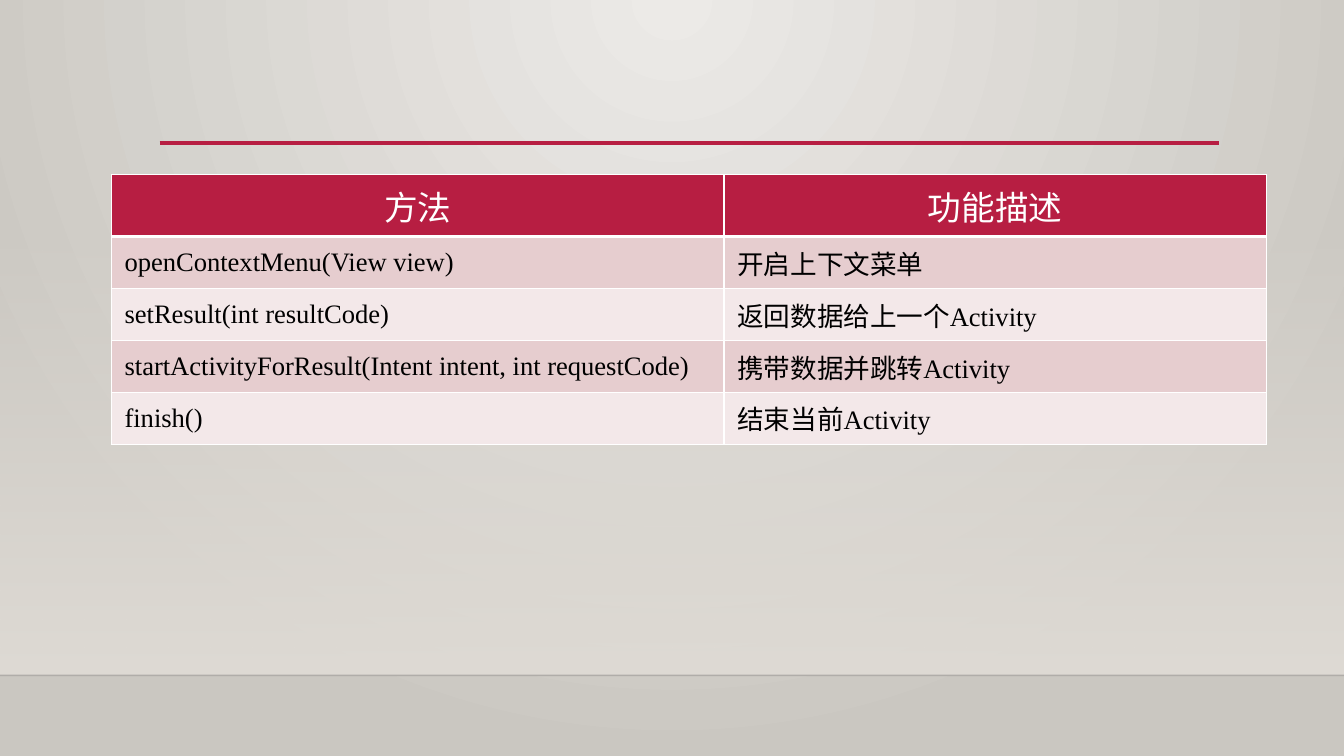
from lxml import etree
from pptx import Presentation
from pptx.dml.color import RGBColor
from pptx.enum.shapes import MSO_CONNECTOR, MSO_SHAPE
from pptx.enum.text import MSO_ANCHOR, PP_ALIGN
from pptx.oxml.ns import qn
from pptx.util import Pt

STRAIGHT = MSO_CONNECTOR.STRAIGHT
RECT = MSO_SHAPE.RECTANGLE
TOP, MIDDLE = MSO_ANCHOR.TOP, MSO_ANCHOR.MIDDLE
LEFT, CENTER = PP_ALIGN.LEFT, PP_ALIGN.CENTER

WIDTH, HEIGHT = 960, 540
FLOOR = 482.4

METHODS = [
    ("方法", "功能描述"),
    ("openContextMenu(View view)", "开启上下文菜单"),
    ("setResult(int resultCode)", "返回数据给上一个Activity"),
    ("startActivityForResult(Intent intent, int requestCode)",
     "携带数据并跳转Activity"),
    ("finish()", "结束当前Activity"),
]


class Theme:
    glow, edge = "ECEAE7", "CAC7C1"
    wall = "DFDBD5"
    accent = "B71E42"
    bands = ("F3E8E9", "E6CDCF")
    white, black, seam = "FFFFFF", "000000", "000001"
    head_font, body_font = "Calibri", "Times New Roman"
    head_size, body_size = 24, 19


def rgb(code):
    return RGBColor.from_string(code)


def fade(parent, percent):
    """Set the opacity of the first RGB colour below parent."""
    color = next(parent.iter(qn("a:srgbClr")))
    etree.SubElement(color, qn("a:alpha"), val=str(percent * 1000))


class Painter:
    def __init__(self, slide, theme):
        self.slide = slide
        self.theme = theme

    def blend(self, fill, start, end):
        """Make fill a two-stop gradient running downward."""
        fill.gradient()
        fill.gradient_angle = 270
        for stop, code in zip(fill.gradient_stops, (start, end)):
            stop.color.rgb = rgb(code)

    def backdrop(self):
        self.blend(self.slide.background.fill, self.theme.glow, self.theme.edge)
        linear = next(self.slide.element.iter(qn("a:lin")))
        circle = etree.Element(qn("a:path"), path="circle")
        etree.SubElement(circle, qn("a:fillToRect"),
                         l="43000", t="0", r="43000", b="100000")
        linear.getparent().replace(linear, circle)

    def veil(self, top, bottom):
        """Draw a full-width band that fades in from clear."""
        band = self.slide.shapes.add_shape(
            RECT, 0, Pt(top), Pt(WIDTH), Pt(bottom - top))
        band.shadow.inherit = False
        band.line.fill.background()
        self.blend(band.fill, self.theme.wall, self.theme.wall)
        fade(band.element.spPr, 0)

    def rule(self, left, right, y, color, weight, opacity=100):
        line = self.slide.shapes.add_connector(
            STRAIGHT, Pt(left), Pt(y), Pt(right), Pt(y))
        line.line.color.rgb = rgb(color)
        line.line.width = Pt(weight)
        if opacity < 100:
            fade(line.element.spPr, opacity)
        etree.SubElement(line.element.spPr, qn("a:effectLst"))

    def border(self, cell, bottom):
        props = cell._tc.get_or_add_tcPr()
        for side, weight in zip("LRTB", (1, 1, 1, bottom)):
            line = etree.SubElement(props, qn("a:ln" + side), w=str(Pt(weight)))
            solid = etree.SubElement(line, qn("a:solidFill"))
            etree.SubElement(solid, qn("a:srgbClr"), val=self.theme.white)

    def cell(self, cell, text, head, band, anchor):
        theme = self.theme
        self.border(cell, 3 if head else 1)
        cell.fill.solid()
        cell.fill.fore_color.rgb = rgb(theme.accent if head else band)
        cell.margin_left = cell.margin_right = Pt(9.6)
        cell.margin_top = cell.margin_bottom = Pt(4.8)
        cell.vertical_anchor = anchor
        cell.text_frame.text = text
        para = cell.text_frame.paragraphs[0]
        para.alignment = CENTER if head else LEFT
        font = para.runs[0].font
        font.name = theme.head_font if head else theme.body_font
        font.size = Pt(theme.head_size if head else theme.body_size)
        font.bold = False
        font.color.rgb = rgb(theme.white if head else theme.black)

    def table(self, rows, left, top, widths, heights):
        frame = self.slide.shapes.add_table(
            len(rows), len(widths), Pt(left), Pt(top),
            Pt(sum(widths)), Pt(sum(heights)))
        table = frame.table
        for column, width in zip(table.columns, widths):
            column.width = Pt(width)
        for r, texts in enumerate(rows):
            table.rows[r].height = Pt(heights[r])
            for c, text in enumerate(texts):
                centred = r == 1 or (r > 1 and c == 0)
                self.cell(table.cell(r, c), text, r == 0,
                          self.theme.bands[r % 2], MIDDLE if centred else TOP)


def main():
    deck = Presentation()
    deck.slide_width, deck.slide_height = Pt(WIDTH), Pt(HEIGHT)
    slide = deck.slides.add_slide(deck.slide_layouts[6])
    theme = Theme()
    paint = Painter(slide, theme)
    paint.backdrop()
    paint.veil(159, FLOOR)
    paint.rule(0, WIDTH, FLOOR, theme.seam, 1, opacity=20)
    paint.rule(114, 870.6, 102.3, theme.accent, 2.5)
    paint.table(METHODS, 79.4, 124.6, (437.8, 387.3), [38.2] + [31.7] * 4)
    deck.save("out.pptx")


if __name__ == "__main__":
    main()
